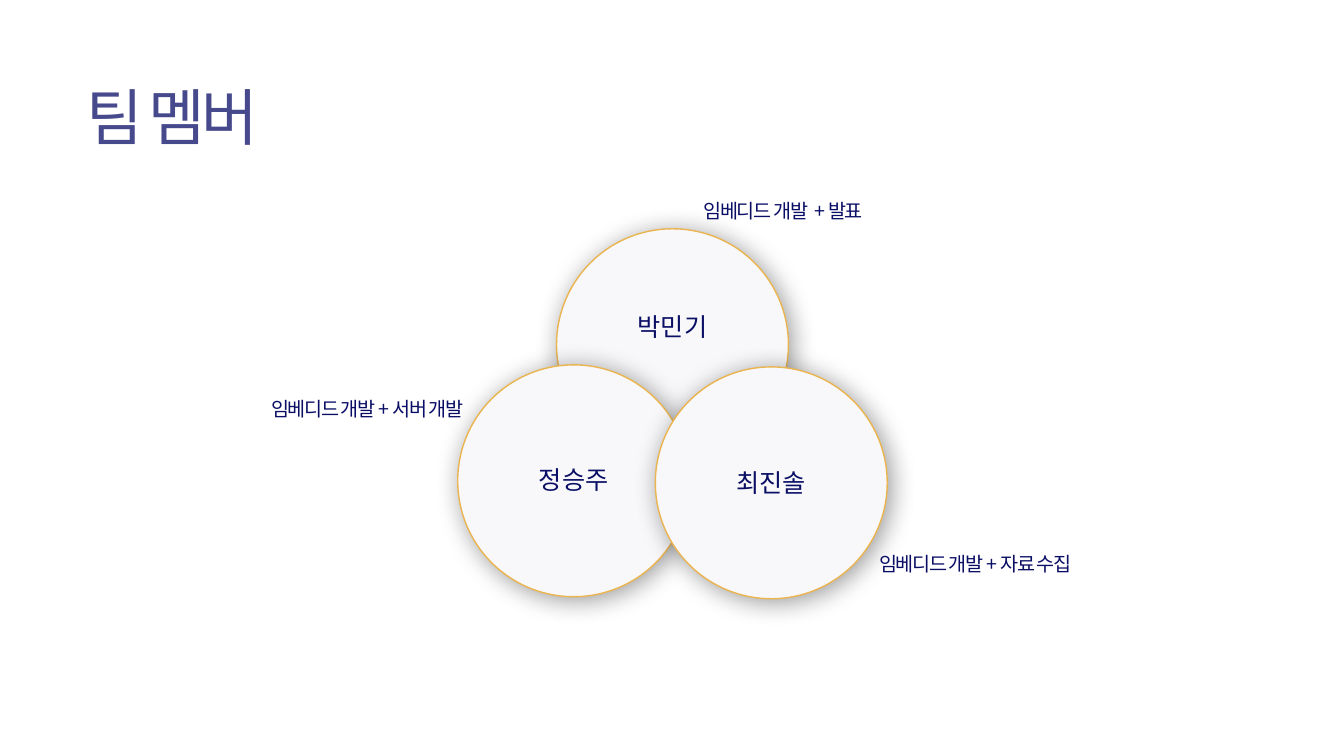
from dataclasses import dataclass

from lxml import etree
from pptx import Presentation
from pptx.dml.color import RGBColor
from pptx.enum.shapes import MSO_SHAPE
from pptx.enum.text import MSO_ANCHOR, MSO_AUTO_SIZE, PP_ALIGN
from pptx.oxml.ns import qn
from pptx.util import Inches, Pt

OVAL = MSO_SHAPE.OVAL
TOP = MSO_ANCHOR.TOP
GROW = MSO_AUTO_SIZE.SHAPE_TO_FIT_TEXT
LEFT, CENTER, JUSTIFY = PP_ALIGN.LEFT, PP_ALIGN.CENTER, PP_ALIGN.JUSTIFY


@dataclass(frozen=True)
class Theme:
    """Colours, font and type sizes of the slide."""
    font: str = "Noto Sans CJK KR"
    title: RGBColor = RGBColor(0x46, 0x49, 0x8B)
    text: RGBColor = RGBColor(0x0A, 0x0E, 0x65)
    circle: RGBColor = RGBColor(0xF8, 0xF8, 0xFA)
    outline: RGBColor = RGBColor(0xEA, 0xB4, 0x51)
    shadow: str = "000000"
    title_size: int = 44
    name_size: int = 18
    role_size: int = 14


THEME = Theme()
DIAMETER = 2.3
NAME_WIDTH, NAME_HEIGHT = 1.24, 0.4
ROLE_HEIGHT = 0.44

MEMBERS = [
    ("박민기", 5.52, 2.27, 0.77),
    ("정승주", 4.54, 3.62, 0.94),
    ("최진솔", 6.5, 3.64, 0.95),
]
ROLES = [
    ("임베디드 개발  + 발표", 6.88, 1.78, 3.06),
    ("임베디드 개발 + 서버 개발", 2.59, 3.75, 2.47),
    ("임베디드 개발 + 자료 수집", 8.62, 5.29, 2.13),
]


def write_text(shape, text, size, color, alignment, line_spacing=1.0, tracking=0):
    """Fill a shape with one formatted paragraph."""
    frame = shape.text_frame
    frame.text = text
    frame.word_wrap = True
    frame.auto_size = GROW
    frame.vertical_anchor = TOP
    paragraph = frame.paragraphs[0]
    paragraph.alignment = alignment
    paragraph.line_spacing = line_spacing
    paragraph.space_before = Pt(0)
    run = paragraph.runs[0]
    run.font.name = THEME.font
    run.font.size = Pt(size)
    run.font.color.rgb = color
    properties = run.font._element
    properties.set("spc", str(tracking * 100))
    east_asian = etree.Element(qn("a:ea"), typeface=THEME.font)
    properties.find(qn("a:latin")).addnext(east_asian)


def add_title(slide, text):
    """Place and format the title placeholder."""
    title = slide.shapes.title
    title.left, title.top = Inches(0.76), Inches(0.82)
    title.width, title.height = Inches(2.15), Inches(0.77)
    write_text(title, text, THEME.title_size, THEME.title, LEFT, 0.9, -3)


def add_soft_shadow(shape):
    """Give a shape a soft shadow towards the lower right."""
    shape.shadow.inherit = False
    effects = shape._element.spPr.find(qn("a:effectLst"))
    shadow = etree.SubElement(
        effects, qn("a:outerShdw"), blurRad=str(Pt(18)), dist=str(Pt(3)),
        dir=str(45 * 60000), algn="tl", rotWithShape="0")
    color = etree.SubElement(shadow, qn("a:srgbClr"), val=THEME.shadow)
    etree.SubElement(color, qn("a:alpha"), val="39000")


def add_member(slide, name, left, top, name_offset):
    """Add a grouped circle with a member's name."""
    shapes = slide.shapes.add_group_shape().shapes
    circle = shapes.add_shape(
        OVAL, Inches(left), Inches(top), Inches(DIAMETER), Inches(DIAMETER))
    circle.fill.solid()
    circle.fill.fore_color.rgb = THEME.circle
    circle.line.color.rgb = THEME.outline
    circle.line.width = Pt(1)
    add_soft_shadow(circle)
    name_left = left + (DIAMETER - NAME_WIDTH) / 2
    label = shapes.add_textbox(
        Inches(name_left), Inches(top + name_offset),
        Inches(NAME_WIDTH), Inches(NAME_HEIGHT))
    write_text(label, name, THEME.name_size, THEME.text, CENTER)


def add_role(slide, text, left, top, width):
    """Add the description of a member's role."""
    label = slide.shapes.add_textbox(
        Inches(left), Inches(top), Inches(width), Inches(ROLE_HEIGHT))
    write_text(label, text, THEME.role_size, THEME.text, JUSTIFY, 1.6, -1)


def main():
    """Build and save the team slide."""
    presentation = Presentation()
    presentation.slide_width = Inches(13.33)
    presentation.slide_height = Inches(7.5)
    slide = presentation.slides.add_slide(presentation.slide_layouts[5])
    add_title(slide, "팀 멤버")
    for member in MEMBERS:
        add_member(slide, *member)
    for role in ROLES:
        add_role(slide, *role)
    presentation.save("out.pptx")


if __name__ == "__main__":
    main()
